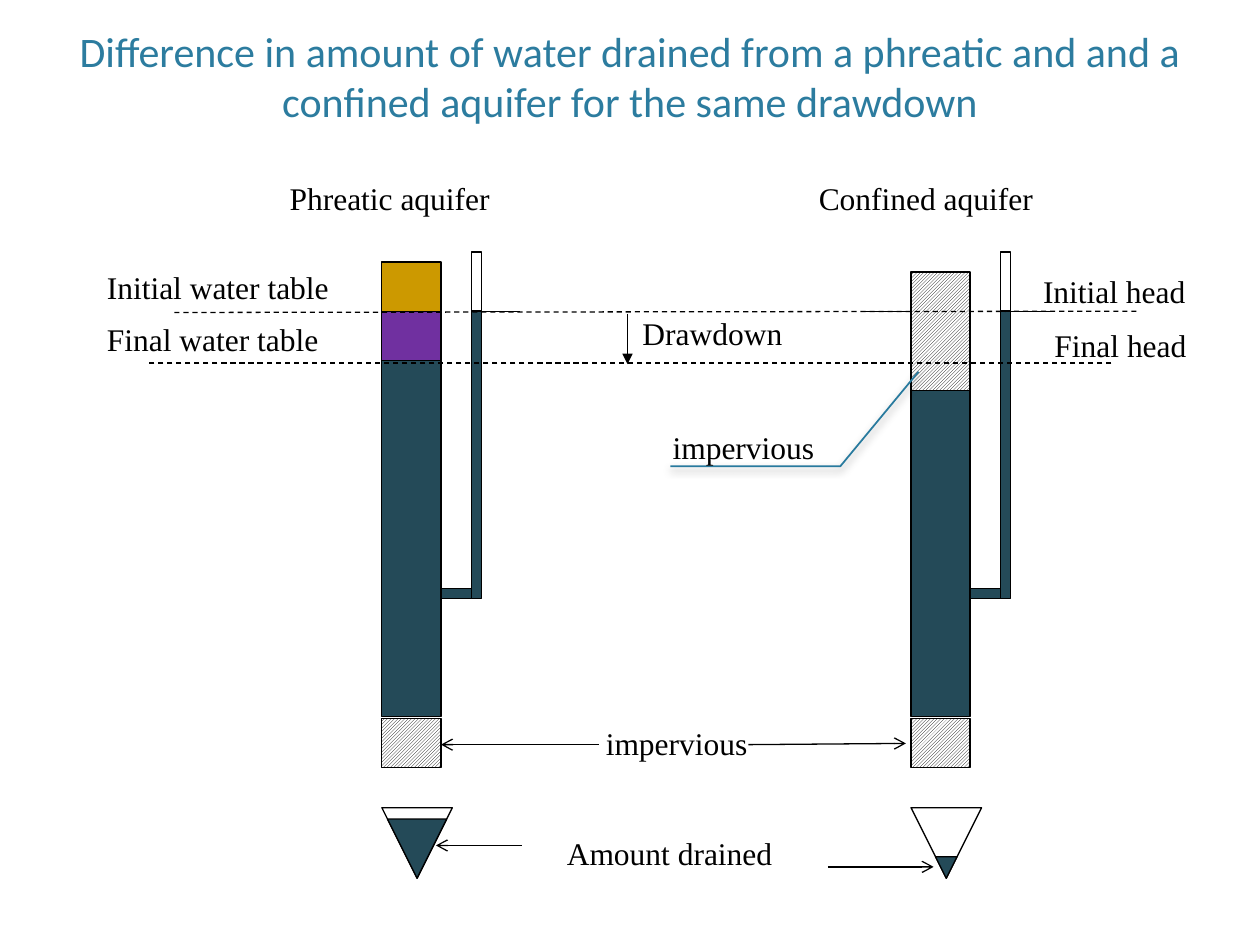
import pptx
import pptx.util
import pptx.dml.color
import pptx.enum.dml
import pptx.enum.shapes
import pptx.enum.text
import pptx.oxml
import pptx.oxml.ns
from lxml import etree

Inches, Pt = pptx.util.Inches, pptx.util.Pt
SHAPE = pptx.enum.shapes.MSO_SHAPE
BLACK, WATER, HATCH = "000000", "244A58", "hatch"

TITLE = ("Difference in amount of water drained from a phreatic and and a "
         "confined aquifer for the same drawdown")

# text, left, top, width
LABELS = [
    ("Phreatic aquifer", 2.2, 1.37, 1.79),
    ("Confined aquifer", 6.4, 1.37, 1.9),
    ("Initial water table", 0.75, 2.08, 1.97),
    ("Final water table", 0.75, 2.49, 1.88),
    ("Initial head", 8.18, 2.11, 1.33),
    ("Final head", 8.27, 2.54, 1.25),
    ("Drawdown", 5, 2.44, 1.32),
    ("impervious", 5.24, 3.35, 1.33),
    ("impervious", 4.71, 5.7, 1.33),
    ("Amount drained", 4.4, 6.57, 1.85),
]

# Each aquifer: column left, upper layers (top, height, fill), drained triangle size
AQUIFERS = [
    (3.03, [(2.47, 0.39, "7030A0"), (2.08, 0.39, "CC9900")], 0.47),
    (7.23, [(2.16, 0.94, HATCH)], 0.17),
]

# x1, y1, x2, y2, dash, arrowhead at the end
LINES = [
    (8.02, 2.47, 8.33, 2.47, False, None),
    (7.23, 2.47, 6.84, 2.47, False, None),
    (3.82, 2.47, 4.13, 2.47, False, None),
    (9.02, 2.47, 1.38, 2.48, True, None),
    (8.82, 2.88, 1.18, 2.88, True, None),
    (4.98, 2.49, 4.98, 2.89, False, "triangle"),
    (4.75, 5.91, 3.5, 5.91, False, "arrow"),
    (5.94, 5.91, 7.19, 5.9, False, "arrow"),
    (4.14, 6.71, 3.46, 6.71, False, "arrow"),
    (6.57, 6.88, 7.41, 6.88, False, "arrow"),
]

LEADER = [(5.32, 3.7), (6.67, 3.7), (7.29, 2.95)]


def color(hex_text):
    return pptx.dml.color.RGBColor.from_string(hex_text)


def set_line(sp, hex_text=BLACK, width=0.75):
    sp.line.color.rgb = color(hex_text)
    sp.line.width = Pt(width)


def add_part(left, top, width, height, fill=None, kind=SHAPE.RECTANGLE):
    sp = s.shapes.add_shape(kind, *map(Inches, (left, top, width, height)))
    sp.shadow.inherit = False
    set_line(sp)
    if fill == HATCH:
        sp.fill.patterned()
        sp.fill.pattern = pptx.enum.dml.MSO_PATTERN.DARK_UPWARD_DIAGONAL
        sp.fill.fore_color.rgb = color(BLACK)
        sp.fill.back_color.rgb = color("FFFFFF")
    elif fill:
        sp.fill.solid()
        sp.fill.fore_color.rgb = color(fill)
    else:
        sp.fill.background()
    return sp


def add_funnel(center, bottom, size, fill=None):
    sp = add_part(center - size / 2, bottom - size, size, size, fill,
                  SHAPE.ISOSCELES_TRIANGLE)
    sp.rotation = 180


def add_line(x1, y1, x2, y2, dash, arrow):
    cn = s.shapes.add_connector(pptx.enum.shapes.MSO_CONNECTOR.STRAIGHT,
                                *map(Inches, (x1, y1, x2, y2)))
    set_line(cn)
    if dash:
        cn.line.dash_style = pptx.enum.dml.MSO_LINE.DASH
    if arrow:
        ln = cn.line._get_or_add_ln()
        etree.SubElement(ln, pptx.oxml.ns.qn("a:tailEnd"), type=arrow)
    etree.SubElement(cn._element.spPr, pptx.oxml.ns.qn("a:effectLst"))


def add_text(text, left, top, width, height, size, font, hex_text):
    tb = s.shapes.add_textbox(*map(Inches, (left, top, width, height)))
    tf = tb.text_frame
    tf.text = text
    f = tf.paragraphs[0].runs[0].font
    f.size, f.name = Pt(size), font
    f.color.rgb = color(hex_text)
    return tf


prs = pptx.Presentation()
prs.slide_width, prs.slide_height = Inches(10), Inches(7.5)
s = prs.slides.add_slide(prs.slide_layouts[6])

# Aquifer columns with side tubes and funnels
for left, layers, drained in AQUIFERS:
    add_part(left, 2.86, 0.47, 2.83, WATER)
    add_part(left, 5.7, 0.47, 0.39, HATCH)
    for top, height, fill in layers:
        add_part(left, top, 0.47, height, fill)
    add_part(left + 0.47, 4.67, 0.24, 0.08, WATER)
    add_part(left + 0.71, 2.47, 0.08, 2.28, WATER)
    add_part(left + 0.71, 2, 0.08, 0.47)
    add_funnel(left + 0.28, 6.97, 0.56)
    add_funnel(left + 0.28, 6.97, drained, WATER)

# Water levels and arrows
for line in LINES:
    add_line(*line)

# Leader to the impervious cover, with a soft shadow
points = [(Inches(x), Inches(y)) for x, y in LEADER]
builder = s.shapes.build_freeform(*points[0])
builder.add_line_segments(points[1:], close=False)
leader = builder.convert_to_shape()
leader.fill.background()
set_line(leader, "287A9E", 1)
leader._element.spPr.append(pptx.oxml.parse_xml(
    f'<a:effectLst {pptx.oxml.ns.nsdecls("a")}>'
    '<a:outerShdw blurRad="63500" dist="25400" dir="5400000" rotWithShape="0">'
    '<a:srgbClr val="000000"><a:alpha val="40000"/></a:srgbClr>'
    '</a:outerShdw></a:effectLst>'))

# Labels
for text, left, top, width in LABELS:
    tf = add_text(text, left, top, width, 0.4, 18, "Times New Roman", BLACK)
    tf.word_wrap = False
    tf.auto_size = pptx.enum.text.MSO_AUTO_SIZE.SHAPE_TO_FIT_TEXT

# Title
tf = add_text(TITLE, 0, 0.19, 10, 0.86, 24, "Calibri", "2C7C9F")
tf.word_wrap = True
tf.vertical_anchor = pptx.enum.text.MSO_ANCHOR.BOTTOM
tf.paragraphs[0].alignment = pptx.enum.text.PP_ALIGN.CENTER

prs.save("out.pptx")
